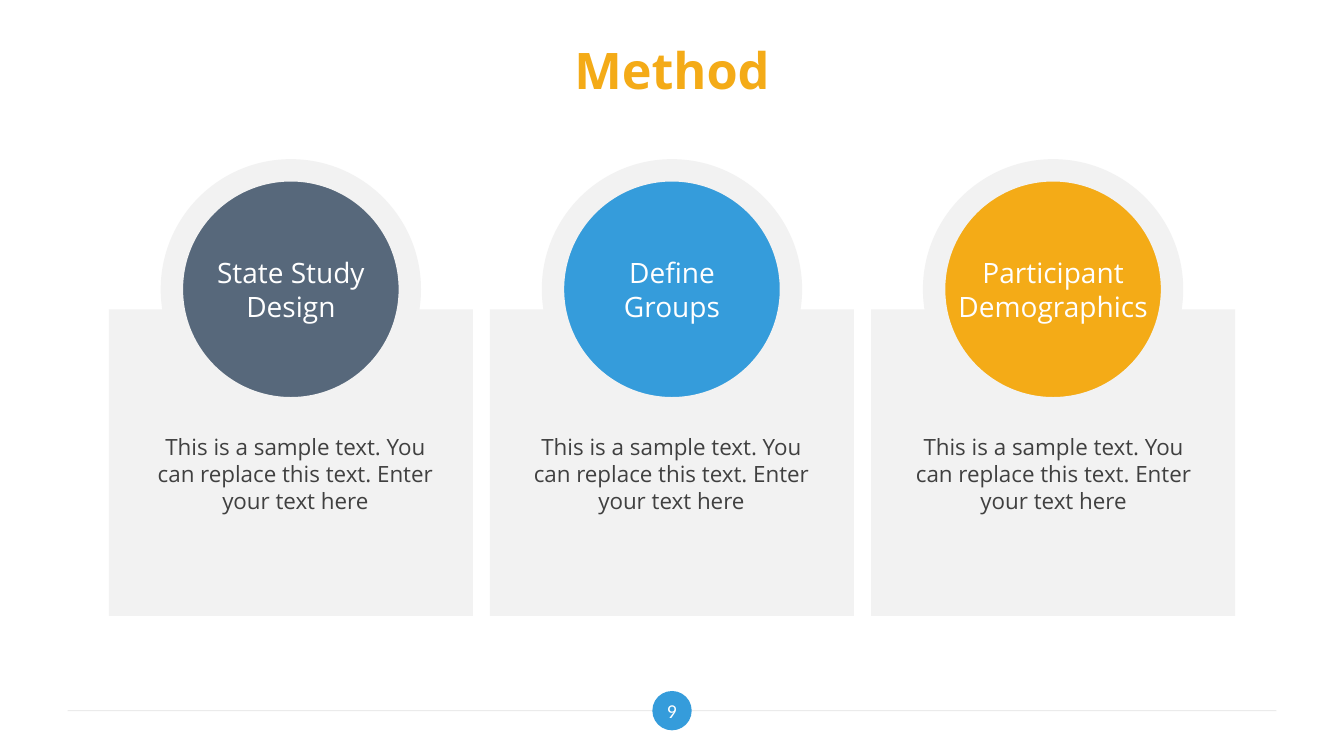
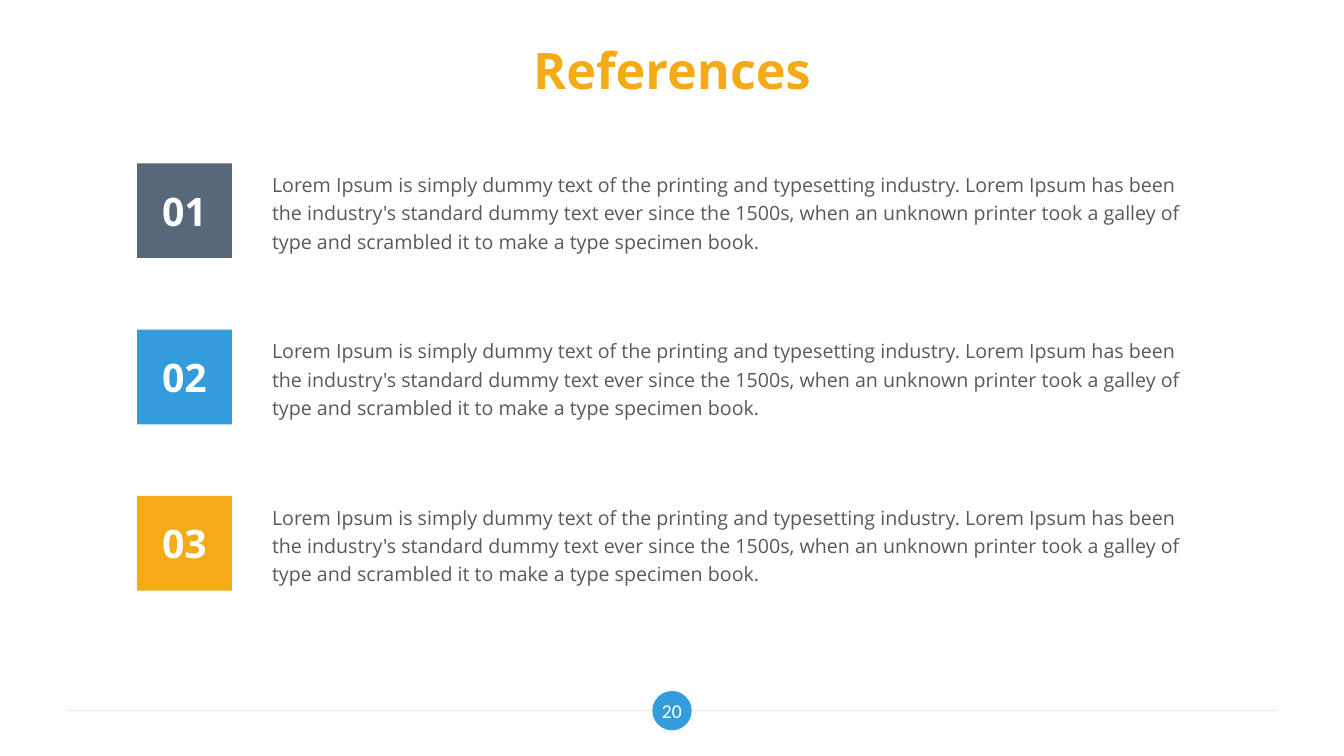
from lxml import etree
from pptx import Presentation
from pptx.dml.color import RGBColor
from pptx.enum.shapes import MSO_CONNECTOR, MSO_SHAPE
from pptx.enum.text import MSO_ANCHOR, PP_ALIGN
from pptx.oxml.ns import qn
from pptx.util import Inches, Pt

SLATE = RGBColor(0x57, 0x68, 0x7B)
BLUE = RGBColor(0x35, 0x9C, 0xDB)
AMBER = RGBColor(0xF4, 0xAB, 0x17)
WHITE = RGBColor(0xFF, 0xFF, 0xFF)
PALE = RGBColor(0xF2, 0xF2, 0xF2)
RULE_GREY = RGBColor(0xD9, 0xD9, 0xD9)
CARD_TEXT = RGBColor(0x40, 0x40, 0x40)
REFERENCE_TEXT = RGBColor(0x59, 0x59, 0x59)
ACCENTS = (SLATE, BLUE, AMBER)

SLIDE_W, SLIDE_H = Inches(13.33), Inches(7.5)
CENTER = SLIDE_W // 2
MARGIN = Inches(0.67)


def add_block(slide, kind, left, top, width, height, fill):
    """Add a filled preset shape without outline or shadow."""
    block = slide.shapes.add_shape(kind, left, top, width, height)
    block.shadow.inherit = False
    block.fill.solid()
    block.fill.fore_color.rgb = fill
    block.line.fill.background()
    return block


def write(shape, text, size, color, bold=False, font="Open Sans", wrap=True,
          align=PP_ALIGN.CENTER, anchor=MSO_ANCHOR.MIDDLE, spacing=None):
    """Fill a shape with text; each line becomes a paragraph."""
    frame = shape.text_frame
    frame.text = text
    frame.word_wrap = wrap
    frame.vertical_anchor = anchor
    for paragraph in frame.paragraphs:
        paragraph.alignment = align
        paragraph.line_spacing = spacing
        paragraph.font.name = font
        paragraph.font.size = Pt(size)
        paragraph.font.bold = bold
        paragraph.font.color.rgb = color


prs = Presentation()
prs.slide_width, prs.slide_height = SLIDE_W, SLIDE_H
blank = prs.slide_layouts[6]

# Shared title, footer rule and page badge
slides = []
for title, page in (("Method", "9"), ("References", "20")):
    slide = prs.slides.add_slide(blank)
    slides.append(slide)

    footer_y = Inches(7.05)
    rule = slide.shapes.add_connector(
        MSO_CONNECTOR.STRAIGHT, MARGIN, footer_y, SLIDE_W - MARGIN, footer_y)
    rule.line.color.rgb = RULE_GREY
    rule.line.width = Pt(0.75)
    rule_color = next(rule.line._ln.iter(qn("a:srgbClr")))
    etree.SubElement(rule_color, qn("a:alpha"), val="50000")
    etree.SubElement(rule._element.spPr, qn("a:effectLst"))

    badge = Inches(0.39)
    add_block(slide, MSO_SHAPE.OVAL, CENTER - badge // 2,
              footer_y - badge // 2, badge, badge, BLUE)

    heading = slide.shapes.add_textbox(
        MARGIN, Inches(0.3), SLIDE_W - 2 * MARGIN, Inches(0.78))
    write(heading, title, 36, AMBER, bold=True)

    number_w, number_h = Inches(0.56), Inches(0.42)
    number = slide.shapes.add_textbox(
        CENTER - number_w // 2, footer_y - number_h // 2, number_w, number_h)
    write(number, page, 14, WHITE, font="Calibri")

method, references = slides

# Method: three cards, each topped by a ringed circle
CARD_W, CARD_H = Inches(3.61), Inches(3.04)
CARD_TOP, CARD_PITCH = Inches(3.07), Inches(3.78)
CIRCLE, CIRCLE_TOP = Inches(2.36), Inches(1.69)
LABEL_W, LABEL_H = Inches(2.09), Inches(0.77)
SAMPLE = ("This is a sample text. You can replace this text. "
          "Enter your text here")
steps = (("State Study\nDesign", 1.4),
         ("Define\nGroups", 5.13),
         ("Participant\nDemographics", 8.92))

for column, ((step, sample_left), accent) in enumerate(zip(steps, ACCENTS)):
    card_center = CENTER + (column - 1) * CARD_PITCH
    add_block(method, MSO_SHAPE.RECTANGLE, card_center - CARD_W // 2,
              CARD_TOP, CARD_W, CARD_H, PALE)
    circle = add_block(method, MSO_SHAPE.OVAL, card_center - CIRCLE // 2,
                       CIRCLE_TOP, CIRCLE, CIRCLE, accent)
    circle.line.color.rgb = PALE
    circle.line.width = Pt(16)
    label = method.shapes.add_textbox(
        card_center - LABEL_W // 2, CIRCLE_TOP + (CIRCLE - LABEL_H) // 2,
        LABEL_W, LABEL_H)
    write(label, step, 20, WHITE, wrap=False, anchor=MSO_ANCHOR.TOP)
    sample = method.shapes.add_textbox(
        Inches(sample_left), Inches(4.25), Inches(3.06), Inches(0.91))
    write(sample, SAMPLE, 16, CARD_TEXT, anchor=MSO_ANCHOR.TOP)

# References: three numbered rows
ROW_TOP, ROW_PITCH = Inches(1.62), Inches(1.65)
TILE = Inches(0.94)
LOREM = ("Lorem Ipsum is simply dummy text of the printing and typesetting "
         "industry. Lorem Ipsum has been the industry's standard dummy text "
         "ever since the 1500s, when an unknown printer took a galley of type "
         "and scrambled it to make a type specimen book.")

for row, accent in enumerate(ACCENTS):
    top = ROW_TOP + row * ROW_PITCH
    tile = add_block(references, MSO_SHAPE.RECTANGLE, Inches(1.36), top,
                     TILE, TILE, accent)
    write(tile, f"{row + 1:02}", 28, WHITE, bold=True)
    entry = references.shapes.add_textbox(
        Inches(2.6), top, Inches(9.36), TILE)
    write(entry, LOREM, 14, REFERENCE_TEXT, align=PP_ALIGN.LEFT, spacing=1.2)

prs.save("out.pptx")
